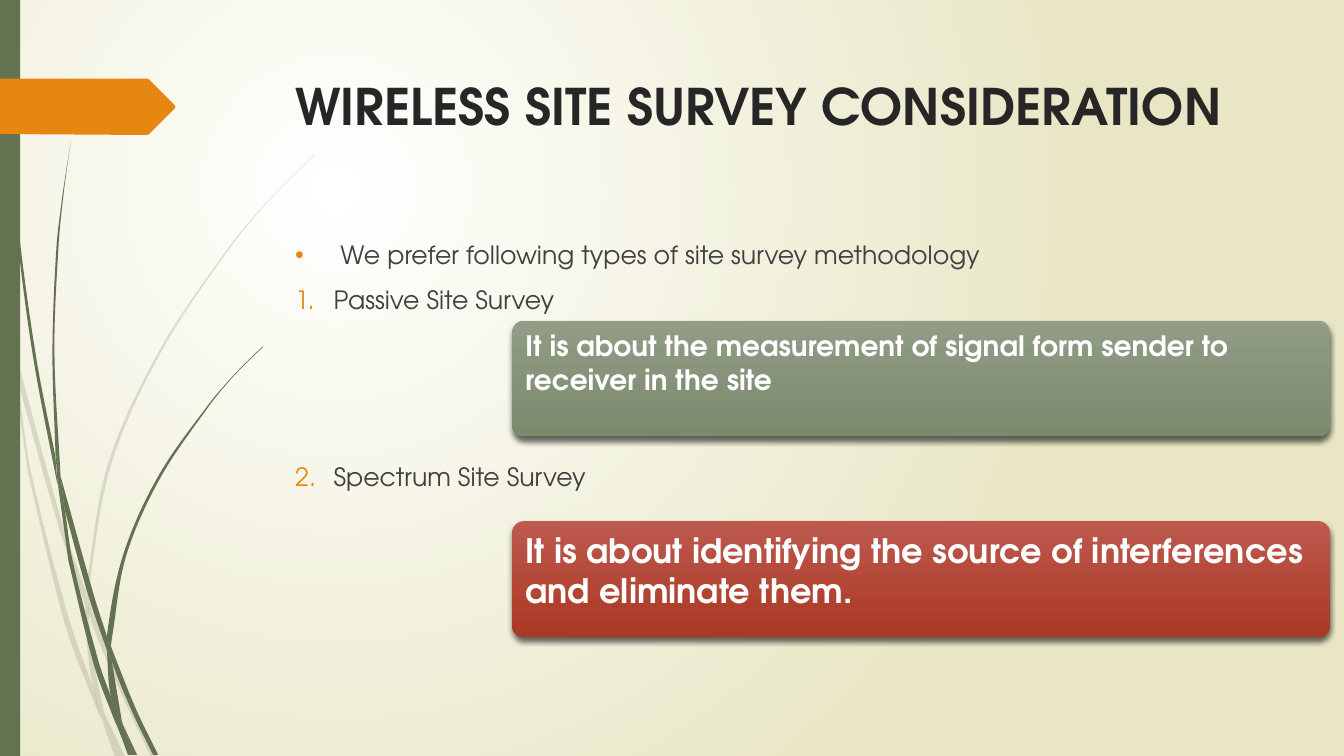
from dataclasses import dataclass
from math import dist
from typing import Any, Optional

from lxml.etree import Element, SubElement
from pptx import Presentation
from pptx.dml.color import RGBColor as Rgb
from pptx.enum.shapes import MSO_SHAPE as Preset
from pptx.enum.text import MSO_ANCHOR as Anchor, MSO_AUTO_SIZE as AutoSize, PP_ALIGN as Align
from pptx.oxml.ns import qn
from pptx.util import Inches, Pt

Point = tuple[float, float]


@dataclass(frozen=True)
class Theme:
    font: str = "TeX Gyre Adventor"
    green: str = "647252"
    orange: str = "E78712"
    title: str = "262626"
    body: str = "404040"
    white: str = "FFFFFF"
    shadow: str = "000000"
    page: tuple[str, str] = ("FFFFFF", "E8E6C4")
    sage: tuple[str, str] = ("919D86", "7B896D")
    red: tuple[str, str] = ("BD594E", "AB3823")
    title_size: int = 36
    body_size: int = 18
    note_size: int = 20
    large_note_size: int = 24


@dataclass(frozen=True)
class Blade:
    down: list[Point]
    back: list[Point]


@dataclass(frozen=True)
class Item:
    text: str
    space_before: float
    number: Optional[int] = None


@dataclass(frozen=True)
class Note:
    text: str
    top: float
    colours: tuple[str, str]
    size: int


THEME = Theme()

PALE_TUFT = [
    Blade([(0.11, 3.5), (0.09, 3.22), (0, 2.82)], [(0, 2.99), (0.1, 3.44)]),
    Blade([(0.17, 3.76), (0.58, 5.22), (0.84, 5.99)], [(0.85, 5.86), (0.62, 5.2), (0.14, 3.45)]),
    Blade([(0.88, 5.96), (0.88, 6.1), (1.23, 6.94), (1.5, 7.51)], [(1.55, 7.51), (1.27, 6.92), (0.92, 6.07)]),
    Blade([(1.19, 7.51), (1.24, 7.51)], [(1.05, 7.11)]),
    Blade([(0.93, 6.83), (0.7, 6.19), (0.31, 4.69), (0.17, 3.76), (0.11, 3.5)],
          [(0.28, 4.7), (0.65, 6.21), (0.92, 6.93), (1.01, 7.14), (0.99, 7.07)]),
    Blade([(0.84, 5.99), (0.87, 6.46), (0.93, 6.83), (1.05, 7.11)], [(1.03, 7.06), (0.91, 6.46), (0.88, 6.1)]),
    Blade([(0.88, 5.96), (0.88, 5.84), (1.1, 4.62), (1.6, 3.49), (2.29, 2.45), (2.68, 1.98), (3.12, 1.54)],
          [(3.12, 1.53), (2.68, 1.97), (2.28, 2.44), (1.58, 3.48), (1.07, 4.61), (0.85, 5.84)]),
    Blade([(1.01, 7.14), (1.14, 7.51)], [(1.19, 7.51)]),
    Blade([(0.88, 6.1), (0.88, 5.96)], [(0.85, 5.86), (0.84, 5.99)]),
    Blade([(0.93, 6.83), (0.99, 7.07), (1.19, 7.51)], [(1.05, 7.11), (0.96, 6.92)]),
]

DARK_TUFT = [
    Blade([(0.03, 0), (0.07, 1.1), (0.17, 2.33), (0.33, 3.55), (0.57, 4.81)],
          [(0.55, 4.53), (0.36, 3.55), (0.19, 2.32), (0.08, 1.09), (0.04, 0)]),
    Blade([(0.64, 5.05), (0.88, 5.92), (1.06, 6.45)], [(1.06, 6.31), (0.93, 5.9), (0.6, 4.72)]),
    Blade([(1.1, 6.41), (1.11, 6.56), (1.32, 7.08), (1.52, 7.49)], [(1.57, 7.49), (1.36, 7.06), (1.13, 6.49)]),
    Blade([(1.1, 6.91), (0.98, 6.57), (0.72, 5.56), (0.64, 5.05), (0.57, 4.77)],
          [(0.68, 5.57), (0.93, 6.59), (1.11, 7.08), (1.17, 7.22), (1.16, 7.17)]),
    Blade([(0.6, 4.72), (0.54, 3.49), (0.58, 2.45), (0.63, 1.93), (0.7, 1.41)],
          [(0.62, 1.93), (0.56, 2.45), (0.52, 3.49), (0.55, 4.49)]),
    Blade([(1.33, 7.49), (1.36, 7.49)], [(1.22, 7.19)]),
    Blade([(0.57, 4.77), (0.64, 5.05)], [(0.6, 4.72), (0.55, 4.49)]),
    Blade([(1.11, 6.33), (1.25, 5.52), (1.58, 4.76), (2.05, 4.06), (2.31, 3.74), (2.61, 3.44)],
          [(2.6, 3.44), (2.31, 3.73), (2.04, 4.05), (1.56, 4.74), (1.22, 5.51), (1.06, 6.31), (1.1, 6.41)]),
    Blade([(1.17, 7.22), (1.27, 7.49)], [(1.31, 7.49)]),
    Blade([(1.06, 6.45), (1.1, 6.91), (1.22, 7.19)], [(1.21, 7.16), (1.11, 6.56)]),
    Blade([(1.06, 6.45), (1.11, 6.56)], [(1.1, 6.41), (1.06, 6.31)]),
    Blade([(1.1, 6.91), (1.17, 7.22), (1.3, 7.49)], [(1.33, 7.49), (1.22, 7.19), (1.16, 7.06)]),
]

TAG = [(0, 0.78), (1.46, 0.78), (1.48, 0.79), (1.73, 1.04), (1.74, 1.06), (1.73, 1.08),
       (1.48, 1.33), (1.46, 1.34), (0, 1.33)]

ITEMS = [
    Item(" We prefer following types of site survey methodology", 10),
    Item("Passive Site Survey", 10, 1),
    Item("Spectrum Site Survey", 105, 2),
]

NOTES = [
    Note("It is about the measurement of signal form sender to receiver in the site",
         3.18, THEME.sage, THEME.note_size),
    Note("It is about identifying the source of interferences and eliminate them.",
         5.17, THEME.red, THEME.large_note_size),
]


def apply(target: Any, values: dict[str, Any]) -> None:
    for name, value in values.items():
        setattr(target, name, value)


def write(para: Any, text: str, size: int, colour: str, bold: bool = False) -> None:
    para.alignment = Align.LEFT
    span = para.add_run()
    span.text = text
    apply(span.font, {"name": THEME.font, "size": Pt(size), "bold": bold})
    span.font.color.rgb = Rgb.from_string(colour)


def prepare_frame(frame: Any) -> None:
    apply(frame, {"word_wrap": True, "auto_size": AutoSize.NONE, "vertical_anchor": Anchor.TOP})


def fill_gradient(fill: Any, colours: tuple[str, str]) -> None:
    fill.gradient()
    for position, (stop, colour) in enumerate(zip(fill.gradient_stops, colours)):
        stop.color.rgb = Rgb.from_string(colour)
        stop.position = position


def fill_plain(shape: Any, colour: str) -> None:
    shape.shadow.inherit = False
    shape.fill.solid()
    shape.fill.fore_color.rgb = Rgb.from_string(colour)
    shape.line.fill.background()


def paint_background(page: Any) -> None:
    fill_gradient(page.background.fill, THEME.page)
    gradient = next(page.background._cSld.iter(qn("a:gradFill")))
    gradient.remove(gradient.find(qn("a:lin")))
    circle = SubElement(gradient, qn("a:path"), {"path": "circle"})
    SubElement(circle, qn("a:fillToRect"), {"l": "50000", "t": "50000", "r": "100000", "b": "100000"})


def draw_outline(page: Any, points: list[Point], colour: str) -> Any:
    corners = [(Inches(x), Inches(y)) for x, y in points]
    builder = page.shapes.build_freeform(*corners[0])
    builder.add_line_segments(corners[1:], close=True)
    shape = builder.convert_to_shape()
    fill_plain(shape, colour)
    return shape


def handle(start: Point, before: Point, after: Point, length: float) -> Point:
    ratio = length / 3 / dist(before, after)
    return start[0] + (after[0] - before[0]) * ratio, start[1] + (after[1] - before[1]) * ratio


def bend_edge(lines: list[Any], points: list[Point]) -> None:
    padded = [points[0], *points, points[-1]]
    for line, a, b, c, d in zip(lines, padded, padded[1:], padded[2:], padded[3:]):
        length = dist(b, c)
        curve = Element(qn("a:cubicBezTo"))
        for x, y in (handle(b, a, c, length), handle(c, d, b, length), c):
            SubElement(curve, qn("a:pt"), {"x": str(round(x)), "y": str(round(y))})
        line.getparent().replace(line, curve)


def draw_blade(page: Any, blade: Blade, opacity: int) -> Any:
    shape = draw_outline(page, blade.down + blade.back, THEME.green)
    properties = shape._element.spPr
    lines = list(properties.iter(qn("a:lnTo")))
    count = len(blade.down)
    for edge, part in ((blade.down, lines[:count - 1]), (blade.back, lines[count:])):
        bend_edge(part, [(Inches(x) - shape.left, Inches(y) - shape.top) for x, y in edge])
    if opacity < 100:
        colour = next(properties.iter(qn("a:srgbClr")))
        SubElement(colour, qn("a:alpha"), {"val": str(opacity * 1000)})
    return shape


def draw_tuft(page: Any, blades: list[Blade], opacity: int) -> None:
    page.shapes.add_group_shape([draw_blade(page, blade, opacity) for blade in blades])


def write_title(page: Any) -> None:
    title = page.shapes.title
    apply(title, {"left": Inches(2.83), "top": Inches(0.69), "width": Inches(9.75), "height": Inches(1.4)})
    prepare_frame(title.text_frame)
    write(title.text_frame.paragraphs[0], "WIRELESS SITE SURVEY CONSIDERATION",
          THEME.title_size, THEME.title, True)


def write_items(page: Any, items: list[Item]) -> None:
    box = page.shapes.add_textbox(Inches(2.83), Inches(2.33), Inches(10.5), Inches(5.17))
    frame = box.text_frame
    prepare_frame(frame)
    for index, item in enumerate(items):
        para = frame.add_paragraph() if index else frame.paragraphs[0]
        write(para, item.text, THEME.body_size, THEME.body)
        para.space_before = Pt(item.space_before)
        settings = para._p.get_or_add_pPr()
        apply_indent = {"marL": Inches(0.38), "indent": -Inches(0.38)}
        for name, value in apply_indent.items():
            settings.set(name, str(value))
        SubElement(SubElement(settings, qn("a:buClr")), qn("a:srgbClr"), {"val": THEME.orange})
        SubElement(settings, qn("a:buFont"), {"typeface": THEME.font if item.number else "Arial"})
        if item.number:
            SubElement(settings, qn("a:buAutoNum"), {"type": "arabicPeriod", "startAt": str(item.number)})
        else:
            SubElement(settings, qn("a:buChar"), {"char": "•"})


def draw_note(page: Any, note: Note) -> None:
    box = page.shapes.add_shape(Preset.ROUNDED_RECTANGLE, Inches(5.08), Inches(note.top), Inches(8.11), Inches(1.15))
    box.adjustments[0] = 0.1
    fill_gradient(box.fill, note.colours)
    box.fill.gradient_angle = 270
    box.line.fill.background()
    box.shadow.inherit = False
    effects = box._element.spPr.find(qn("a:effectLst"))
    shadow = SubElement(effects, qn("a:outerShdw"), {
        "blurRad": str(Pt(4)), "dist": str(Pt(3)), "dir": "5400000", "rotWithShape": "0"})
    colour = SubElement(shadow, qn("a:srgbClr"), {"val": THEME.shadow})
    SubElement(colour, qn("a:alpha"), {"val": "60000"})
    prepare_frame(box.text_frame)
    write(box.text_frame.paragraphs[0], note.text, note.size, THEME.white, True)


def main() -> None:
    deck = Presentation()
    apply(deck, {"slide_width": Inches(13.33), "slide_height": Inches(7.5)})
    page = deck.slides.add_slide(deck.slide_layouts.get_by_name("Title Only"))
    paint_background(page)
    draw_tuft(page, PALE_TUFT, 20)
    draw_tuft(page, DARK_TUFT, 100)
    bar = page.shapes.add_shape(Preset.RECTANGLE, 0, 0, Inches(0.2), Inches(7.5))
    fill_plain(bar, THEME.green)
    draw_outline(page, TAG, THEME.orange)
    write_title(page)
    write_items(page, ITEMS)
    for note in NOTES:
        draw_note(page, note)
    deck.save("out.pptx")


if __name__ == "__main__":
    main()
